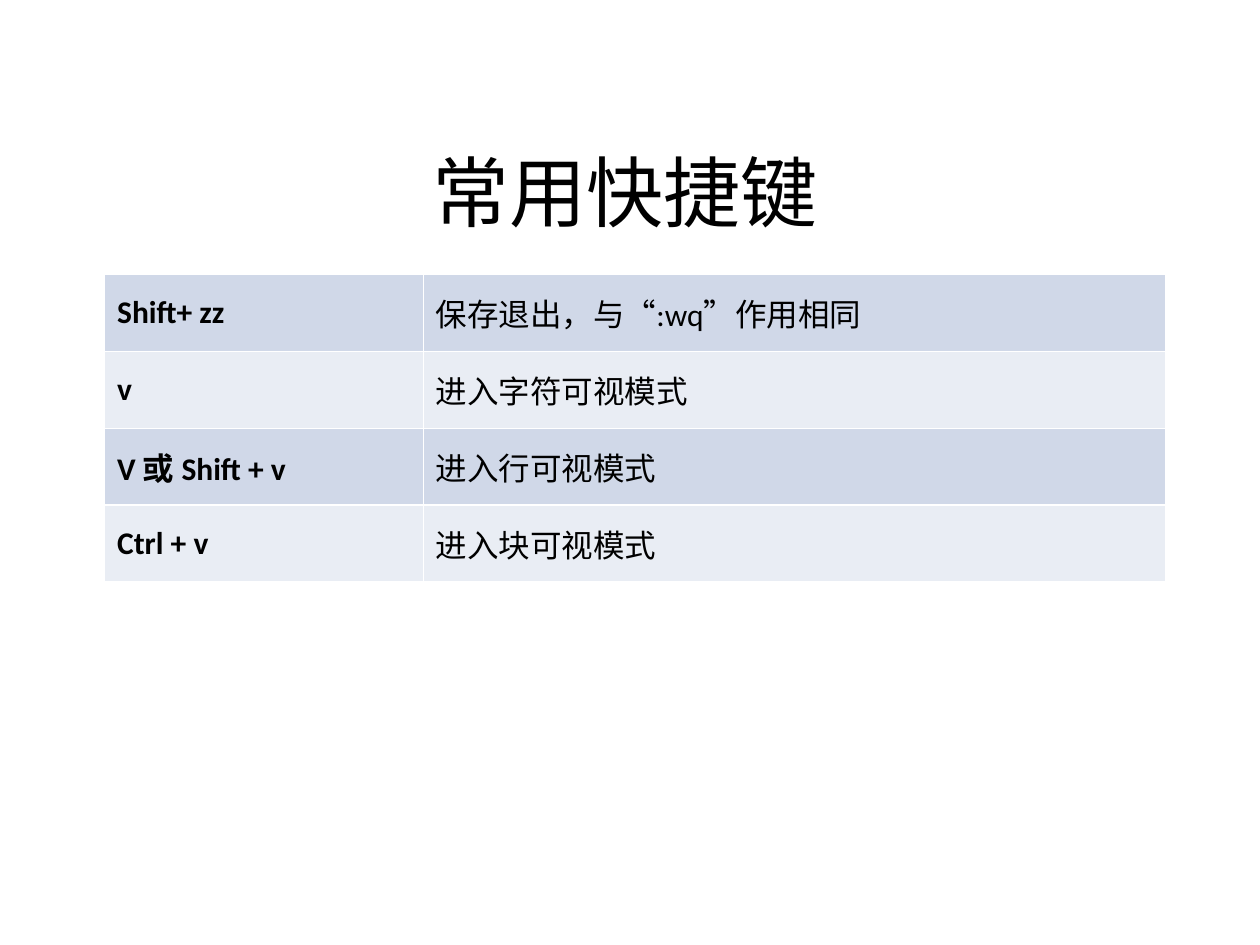
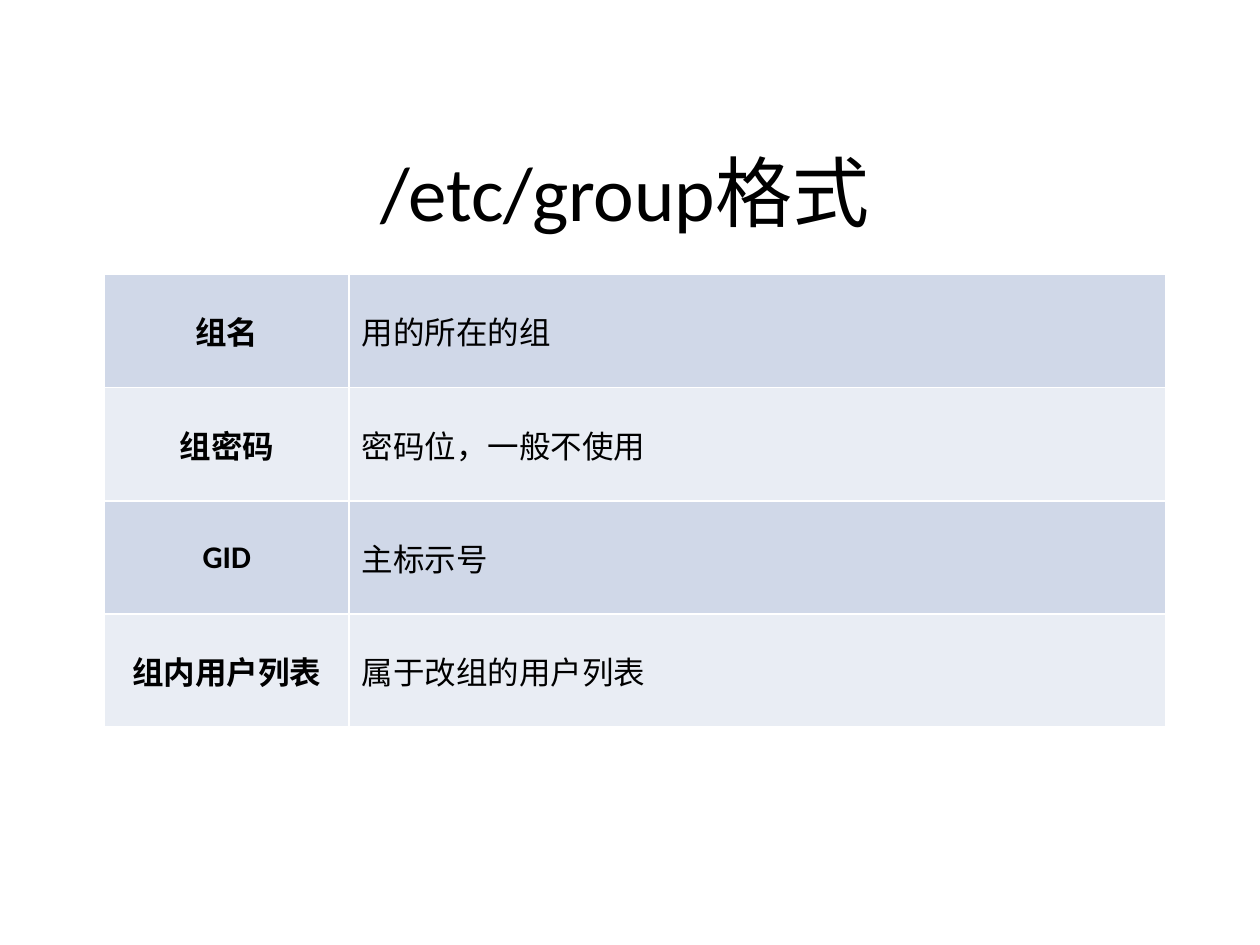
from lxml.etree import SubElement
from pptx import Presentation
from pptx.dml.color import RGBColor
from pptx.enum.text import MSO_ANCHOR, MSO_AUTO_SIZE, PP_ALIGN
from pptx.oxml.ns import qn
from pptx.util import Inches, Pt

BLACK = RGBColor(0x00, 0x00, 0x00)
WHITE = RGBColor(0xFF, 0xFF, 0xFF)
BAND_COLORS = (RGBColor(0xD0, 0xD8, 0xE8), RGBColor(0xE9, 0xED, 0xF4))
MAIN_FONT = "Calibri"
QUOTE_FONT = "Arial"
TITLE_BOX = (0.75, 0.36, 8.42, 1.57)
TABLE_LEFT, TABLE_TOP, TABLE_WIDTH = 0.83, 2.18, 8.42
TITLE_ONLY_LAYOUT = 5

SHORTCUTS = [
    ("Shift+ zz", ["保存退出，与", ("“", QUOTE_FONT), ":wq", ("”", QUOTE_FONT), "作用相同"]),
    ("v", "进入字符可视模式"),
    ("V 或 Shift + v", "进入行可视模式"),
    ("Ctrl + v", "进入块可视模式"),
]
GROUP_FIELDS = [
    ("组名", "用的所在的组"),
    ("组密码", "密码位，一般不使用"),
    ("GID", "主标示号"),
    ("组内用户列表", "属于改组的用户列表"),
]


def write_text(text_frame, text, size=18, bold=False, color=BLACK, alignment=PP_ALIGN.LEFT):
    paragraph = text_frame.paragraphs[0]
    paragraph.alignment = alignment
    paragraph.space_before = Pt(0)
    for part in [text] if isinstance(text, str) else text:
        content, font_name = (part, MAIN_FONT) if isinstance(part, str) else part
        run = paragraph.add_run()
        run.text = content
        run.font.name = font_name
        run.font.size = Pt(size)
        run.font.bold = bold
        run.font.color.rgb = color


def set_cell_borders(cell, color=WHITE, width=1):
    properties = cell._tc.get_or_add_tcPr()
    for side in ("lnL", "lnR", "lnT", "lnB"):
        line = SubElement(properties, qn(f"a:{side}"), w=str(Pt(width)))
        fill = SubElement(line, qn("a:solidFill"))
        SubElement(fill, qn("a:srgbClr"), val=str(color))


def add_title(slide, text, box):
    title = slide.shapes.title
    title.left, title.top, title.width, title.height = map(Inches, box)
    title.text_frame.auto_size = MSO_AUTO_SIZE.NONE
    title.text_frame.vertical_anchor = MSO_ANCHOR.BOTTOM
    write_text(title.text_frame, text, size=44, alignment=PP_ALIGN.CENTER)


def add_key_table(slide, rows, box, key_width, key_alignment):
    left, top, width, height = map(Inches, box)
    table = slide.shapes.add_table(len(rows), 2, left, top, width, height).table
    table.first_row = False
    table.horz_banding = False
    table.columns[0].width = Inches(key_width)
    table.columns[1].width = width - Inches(key_width)
    for row_index, row in enumerate(rows):
        for column_index, text in enumerate(row):
            is_key = column_index == 0
            cell = table.cell(row_index, column_index)
            set_cell_borders(cell)
            cell.fill.solid()
            cell.fill.fore_color.rgb = BAND_COLORS[row_index % 2]
            cell.vertical_anchor = MSO_ANCHOR.MIDDLE
            write_text(cell.text_frame, text, bold=is_key,
                       alignment=key_alignment if is_key else PP_ALIGN.LEFT)


def add_table_slide(presentation, title, rows, table_height, key_width,
                    key_alignment=PP_ALIGN.LEFT):
    slide = presentation.slides.add_slide(presentation.slide_layouts[TITLE_ONLY_LAYOUT])
    add_title(slide, title, TITLE_BOX)
    table_box = (TABLE_LEFT, TABLE_TOP, TABLE_WIDTH, table_height)
    add_key_table(slide, rows, table_box, key_width, key_alignment)


def main():
    presentation = Presentation()
    presentation.slide_width = Inches(10)
    presentation.slide_height = Inches(7.5)
    add_table_slide(presentation, "常用快捷键", SHORTCUTS, 2.44, 2.53)
    add_table_slide(presentation, "/etc/group格式", GROUP_FIELDS, 3.59, 1.94,
                    key_alignment=PP_ALIGN.CENTER)
    presentation.save("out.pptx")


if __name__ == "__main__":
    main()
